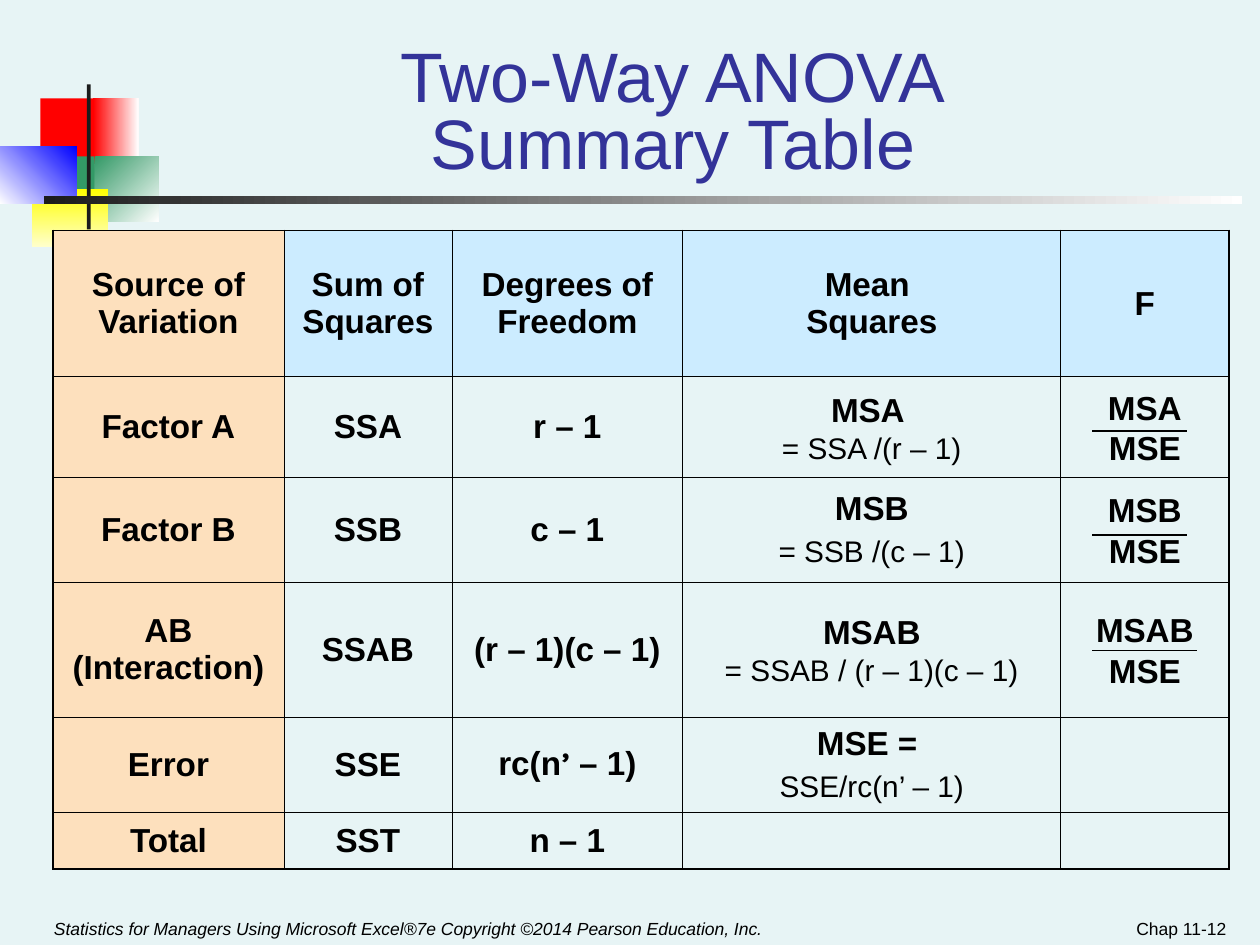
from itertools import accumulate

from lxml import etree
from pptx import Presentation, util as u
from pptx.dml.color import RGBColor
from pptx.enum import shapes, text
from pptx.oxml.ns import qn

W, H = 10, 7.5
FONT = "Arial"
C = dict(page="E7F4F5", black="000000", title="333399", source="FDE0BD",
         head="CCECFF", bar="1C1C1C", red="FF0000", green="339966",
         yellow="FFFF00", cream="FFFFCC", blue="0000FF", white="FFFFFF")
LEFT, CENTER, RIGHT = (text.PP_ALIGN.LEFT, text.PP_ALIGN.CENTER,
                       text.PP_ALIGN.RIGHT)
MIDDLE, BOTTOM = text.MSO_ANCHOR.MIDDLE, text.MSO_ANCHOR.BOTTOM

COLS = [n / 6 for n in (11, 8, 11, 18, 8)]
ROWS = [1.16, 0.8, 0.83, 1.07, 0.76, 0.45]
THIN, THICK = 0.45, 1.08
SMALL = dict(size=17, bold=False)
HEADINGS = ["Source of\nVariation", "Sum of\nSquares", "Degrees of Freedom",
            "Mean \nSquares", "F"]


def joined(name, formula):
    """Name and formula in one paragraph, parted by a line break."""
    return dict(paras=[[(name + "\n", {}), (formula, SMALL)]], spacing=1.1)


def stacked(name, formula):
    """Name and formula as two paragraphs."""
    return dict(paras=[name, [(formula, SMALL)]], before=4.2)


def ratio(top):
    return dict(paras=[top + "\nMSE"], spacing=1.1)


BODY = [
    ["Factor A", "SSA", "r – 1", joined("MSA ", "= SSA /(r – 1)"),
     ratio("MSA")],
    ["Factor B", "SSB", "c – 1", stacked("MSB", "= SSB /(c – 1)"),
     ratio("MSB")],
    ["AB\n(Interaction)", "SSAB", "(r – 1)(c – 1)",
     joined("MSAB\n".strip(), "= SSAB / (r – 1)(c – 1)"), ratio("MSAB")],
    ["Error", "SSE",
     dict(paras=[[("rc(n", {}), ("’", dict(font="Karla")), (" – 1)", {})]]),
     stacked("MSE = ", "SSE/rc(n’ – 1)"), None],
    ["Total", "SST", "n – 1", None, None],
]


def rgb(name):
    return RGBColor.from_string(C[name])


def inches(*values):
    return [u.Inches(v) for v in values]


def add_run(p, words, size, color="black", bold=False, italic=False,
            font=FONT):
    for i, line in enumerate(words.split("\n")):
        if i:
            p.add_line_break()
        if line:
            r = p.add_run()
            r.text = line
            r.font.name, r.font.size = font, u.Pt(size)
            r.font.bold, r.font.italic = bold, italic
            r.font.color.rgb = rgb(color)


def write(tf, paras, align=LEFT, spacing=1.0, before=0, **fmt):
    """Fill a text frame; a paragraph is a string or (words, format) runs."""
    for i, para in enumerate(paras):
        p = tf.add_paragraph() if i else tf.paragraphs[0]
        p.alignment, p.line_spacing = align, spacing
        p.space_before = u.Pt(before if i else 0)
        runs = [(para, {})] if isinstance(para, str) else para
        for words, extra in runs:
            add_run(p, words, **{**fmt, **extra})


def add_block(s, box, start, end=None, angle=0):
    """Plain block, or one shaded from start to end, angle clockwise."""
    sp = s.shapes.add_shape(shapes.MSO_SHAPE.RECTANGLE, *inches(*box))
    sp.shadow.inherit = False
    sp.line.fill.background()
    if end is None:
        sp.fill.solid()
        sp.fill.fore_color.rgb = rgb(start)
        return
    sp.fill.gradient()
    sp.fill.gradient_angle = (360 - angle) % 360
    for stop, (name, at) in zip(sp.fill.gradient_stops,
                                ((start, 0), (end, 1))):
        stop.color.rgb, stop.position = rgb(name), at


def add_ornament(s, x, y):
    for dx, dy, w, h, *fill in (
            (0.32, 0.11, 0.48, 0.52, "red"),
            (0.74, 0.11, 0.36, 0.52, "red", "white"),
            (0.75, 0.57, 0.51, 0.52, "green", "white", 45),
            (0.43, 0.57, 0.32, 0.52, "green"),
            (0.25, 0.83, 0.61, 0.46, "yellow", "cream", 90),
            (0, 0.49, 0.61, 0.46, "white", "blue", 315),
            (0.69, 0, 0.03, 1.15, "bar"),
            (0.35, 0.89, 9.51, 0.06, "bar", "white")):
        add_block(s, (x + dx, y + dy, w, h), *fill)


def add_title(s, box, words):
    sp = s.shapes.title
    sp.left, sp.top, sp.width, sp.height = inches(*box)
    tf = sp.text_frame
    tf.auto_size = text.MSO_AUTO_SIZE.NONE
    tf.vertical_anchor, tf.word_wrap = BOTTOM, True
    write(tf, [words], CENTER, spacing=0.8, size=40, color="title")


def add_footer(s, box, words, align=LEFT, **fmt):
    tf = s.shapes.add_textbox(*inches(*box)).text_frame
    tf.word_wrap, tf.vertical_anchor = True, BOTTOM
    write(tf, [words], align, size=10, **fmt)


def set_border(cell, side, width):
    ln = etree.SubElement(cell._tc.get_or_add_tcPr(), qn("a:ln" + side),
                          w=str(int(u.Pt(width))))
    fill = etree.SubElement(ln, qn("a:solidFill"))
    etree.SubElement(fill, qn("a:srgbClr"), val=C["black"])


def format_cell(cell, content, row, col):
    edges = dict(L=col == 0, R=col == len(COLS) - 1,
                 T=row == 0, B=row == len(ROWS) - 1)
    for side, outer in edges.items():
        set_border(cell, side, THICK if outer else THIN)
    if row and col:
        cell.fill.background()
    else:
        cell.fill.solid()
        cell.fill.fore_color.rgb = rgb("head" if col else "source")
    cell.vertical_anchor = MIDDLE
    if content:
        fmt = dict(paras=[content]) if isinstance(content, str) else content
        write(cell.text_frame, align=CENTER, size=19, bold=True, **fmt)


def add_fraction_line(s, x, y, width):
    line = s.shapes.add_connector(shapes.MSO_CONNECTOR.STRAIGHT,
                                  *inches(x, y, x + width, y))
    line.line.color.rgb, line.line.width = rgb("black"), u.Pt(0.75)
    etree.SubElement(line._element.spPr, qn("a:effectLst"))


def add_anova_table(s, x, y):
    table = s.shapes.add_table(
        len(ROWS), len(COLS), *inches(x, y, sum(COLS), sum(ROWS))).table
    table.first_row = table.horz_banding = False
    for column, width in zip(table.columns, COLS):
        column.width = u.Inches(width)
    for row, height in zip(table.rows, ROWS):
        row.height = u.Inches(height)
    for i, contents in enumerate([HEADINGS] + BODY):
        for j, content in enumerate(contents):
            format_cell(table.cell(i, j), content, i, j)

    tops = [y, *accumulate(ROWS, initial=y)][1:]
    f_left = x + sum(COLS[:-1])
    for row, share, width in ((1, 0.54, 0.75), (2, 0.55, 0.75),
                              (3, 0.51, 0.83)):
        add_fraction_line(s, f_left + 0.25, tops[row] + share * ROWS[row],
                          width)


def main():
    prs = Presentation()
    prs.slide_width, prs.slide_height = inches(W, H)
    s = prs.slides.add_slide(prs.slide_layouts[5])
    s.background.fill.solid()
    s.background.fill.fore_color.rgb = rgb("page")
    add_ornament(s, 0, 0.67)
    add_footer(s, (0.33, 7.08, 6.08, 0.42),
               "Statistics for Managers Using Microsoft Excel®7e "
               "Copyright ©2014 Pearson Education, Inc.", italic=True)
    add_footer(s, (0.75 * W, 7.15, 2.33, 0.35), "Chap 11-12", RIGHT)
    add_title(s, (1.08, 0.33, 8.52, 1.17), "Two-Way ANOVA\nSummary Table")
    add_anova_table(s, 0.42, 1.83)
    prs.save("out.pptx")


if __name__ == "__main__":
    main()
